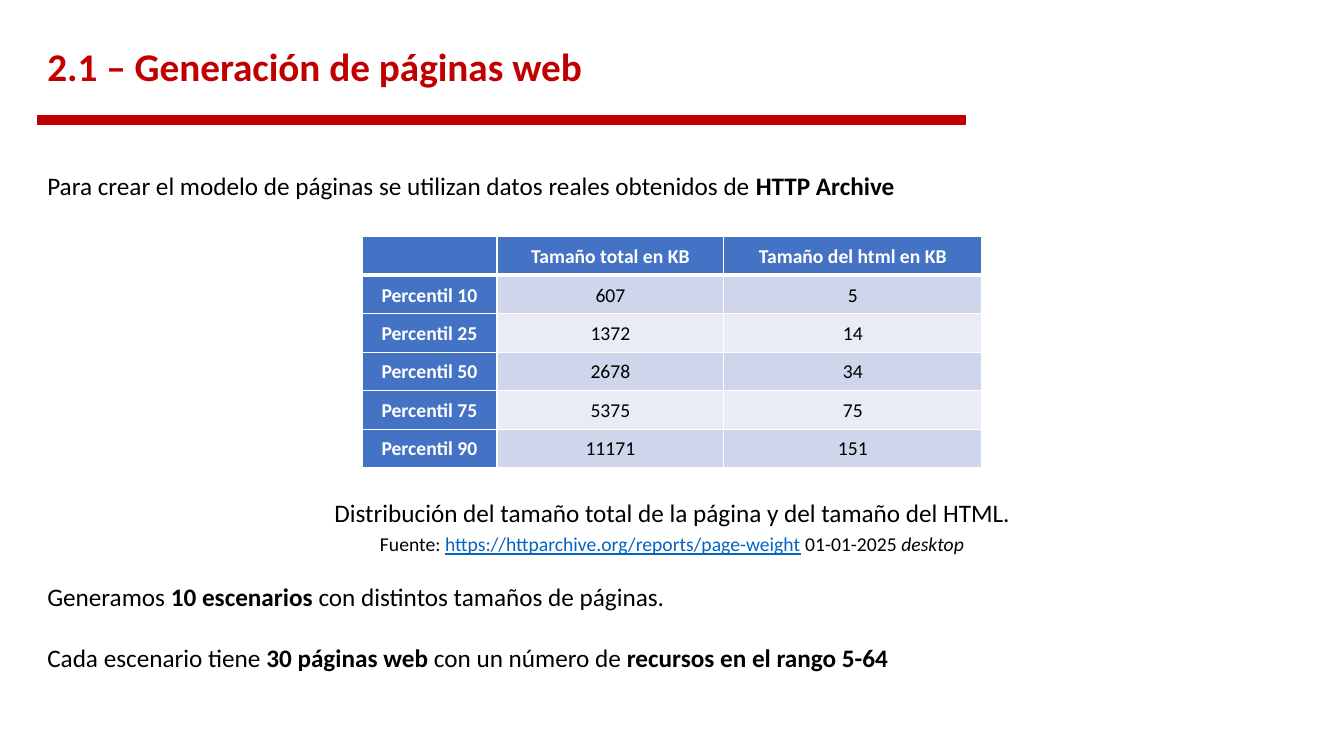
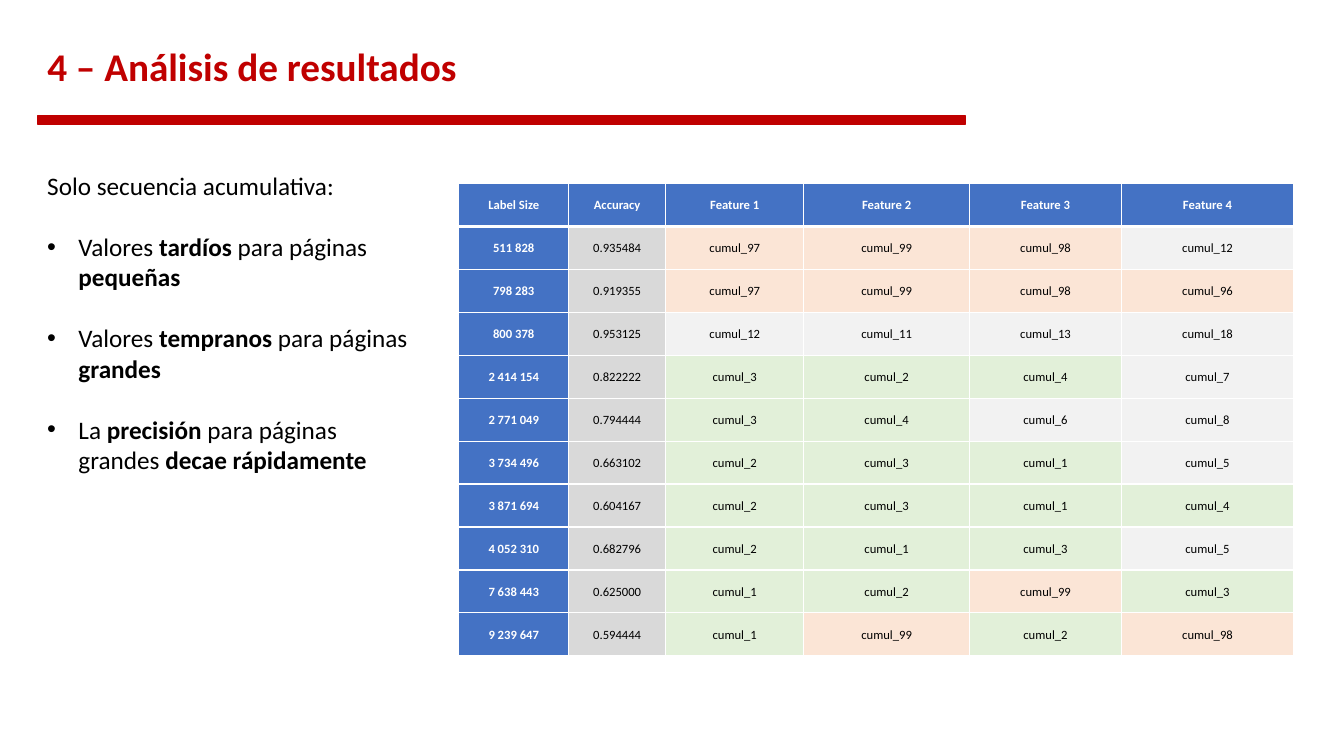
from dataclasses import dataclass

from lxml.etree import SubElement
from pptx import Presentation
from pptx.dml.color import RGBColor
from pptx.enum.shapes import MSO_SHAPE as Shape
from pptx.enum.text import MSO_ANCHOR as Anchor, MSO_AUTO_SIZE as AutoSize, PP_ALIGN as Align
from pptx.oxml.ns import qn
from pptx.util import Inches, Pt


@dataclass(frozen=True)
class Theme:
    font: str = "Calibri"
    red: str = "C00000"
    blue: str = "4472C4"
    link: str = "0563C1"
    black: str = "000000"
    white: str = "FFFFFF"
    band_dark: str = "CFD5EA"
    band_light: str = "E9EBF5"
    accuracy: str = "D9D9D9"
    early: str = "E2F0D9"
    middle: str = "F2F2F2"
    late: str = "FBE5D6"
    title_size: int = 28
    body_size: int = 18
    small_size: int = 14
    dense_size: int = 9
    gap: int = 22
    indent: float = 0.31


THEME = Theme()
WIDTH, HEIGHT = Inches(13.33), Inches(7.5)
BOLD = {"bold": True}
ITALIC = {"italic": True}
LINK = {"underline": True, "color": THEME.link}

# Boxes: left, top, width, height in hundredths of the slide
LEFT = 2.78
TITLE_BOX = (LEFT, 5.07, 69.9, 8.13)
BAR_BOX = (LEFT, 15.33, 69.08, 1.07)
INTRO_BOX = (LEFT, 21.87, 69.08, 5.33)
SIZES_BOX = (26.93, 31.33, 46.13, 30.53)
CAPTION_BOX = (11.78, 65.07, 76.5, 9.47)
SOURCE_BOX = (17.93, 69.73, 64.13, 4.53)
CLOSING_BOX = (LEFT, 76.27, 69.08, 13.47)
FINDINGS_BOX = (LEFT, 21.87, 29.4, 41.73)
FEATURES_BOX = (34.13, 24.27, 62.1, 62.53)

SIZES = [
    ["", "Tamaño total en KB", "Tamaño del html en KB"],
    ["Percentil 10", "607", "5"],
    ["Percentil 25", "1372", "14"],
    ["Percentil 50", "2678", "34"],
    ["Percentil 75", "5375", "75"],
    ["Percentil 90", "11171", "151"],
]

# Label size, accuracy and the indices of the four leading features
RESULTS = [
    ("511 828", "0.935484", (97, 99, 98, 12)),
    ("798 283", "0.919355", (97, 99, 98, 96)),
    ("800 378", "0.953125", (12, 11, 13, 18)),
    ("2 414 154", "0.822222", (3, 2, 4, 7)),
    ("2 771 049", "0.794444", (3, 4, 6, 8)),
    ("3 734 496", "0.663102", (2, 3, 1, 5)),
    ("3 871 694", "0.604167", (2, 3, 1, 4)),
    ("4 052 310", "0.682796", (2, 1, 3, 5)),
    ("7 638 443", "0.625000", (1, 2, 99, 3)),
    ("9 239 647", "0.594444", (1, 99, 2, 98)),
]


def place(box):
    """Turn hundredths of the slide into lengths."""
    return [round(share * side / 100) for share, side in zip(box, (WIDTH, HEIGHT) * 2)]


def set_attributes(target, values):
    for name, value in values.items():
        setattr(target, name, value)


def write(paragraph, runs, size, color=THEME.black, **formats):
    """Fill a paragraph with runs: plain strings or (text, formats) pairs."""
    for run_source in runs:
        text, own = (run_source, {}) if isinstance(run_source, str) else run_source
        values = {"name": THEME.font, "size": Pt(size), **formats, **own}
        run = paragraph.add_run()
        run.text = text
        run.font.color.rgb = RGBColor.from_string(values.pop("color", color))
        set_attributes(run.font, values)


def add_bullet(paragraph):
    properties = paragraph._p.get_or_add_pPr()
    indent = Inches(THEME.indent)
    properties.set("marL", str(indent))
    properties.set("indent", str(-indent))
    SubElement(properties, qn("a:buFont"), typeface="Arial")
    SubElement(properties, qn("a:buChar"), char="•")


def add_text(slide, box, paragraphs, size=THEME.body_size, align=Align.LEFT, bulleted=False):
    """Text box whose paragraphs after the first stand one line apart."""
    frame = slide.shapes.add_textbox(*place(box)).text_frame
    set_attributes(frame, {"word_wrap": True, "auto_size": AutoSize.SHAPE_TO_FIT_TEXT})
    for index, runs in enumerate(paragraphs):
        paragraph = frame.add_paragraph() if index else frame.paragraphs[0]
        paragraph.alignment = align
        if index:
            paragraph.space_before = Pt(THEME.gap)
            if bulleted:
                add_bullet(paragraph)
        write(paragraph, runs, size)


def add_header(slide, title):
    """Title and red bar shared by the slides."""
    frame = slide.shapes.add_textbox(*place(TITLE_BOX)).text_frame
    set_attributes(frame, {"word_wrap": True, "vertical_anchor": Anchor.MIDDLE})
    frame.paragraphs[0].line_spacing = 0.9
    write(frame.paragraphs[0], [title], THEME.title_size, THEME.red, bold=True)

    bar = slide.shapes.add_shape(Shape.RECTANGLE, *place(BAR_BOX))
    bar.shadow.inherit = False
    bar.fill.solid()
    bar.fill.fore_color.rgb = bar.line.color.rgb = RGBColor.from_string(THEME.red)
    bar.line.width = Pt(1)


def add_borders(cell, row):
    """White rules, with a thicker one under the heading row."""
    properties = cell._tc.get_or_add_tcPr()
    widths = {"L": 1, "R": 1, "T": 3 if row == 1 else 1, "B": 3 if row == 0 else 1}
    for side, width in widths.items():
        line = SubElement(properties, qn(f"a:ln{side}"), w=str(Pt(width)))
        fill = SubElement(line, qn("a:solidFill"))
        SubElement(fill, qn("a:srgbClr"), val=THEME.white)


def add_data_table(slide, box, rows, column_weights, size, body_fill):
    """Table with blue headings; body_fill(row, column, text) colours the rest."""
    left, top, width, height = place(box)
    table = slide.shapes.add_table(len(rows), len(rows[0]), left, top, width, height).table
    for column, weight in zip(table.columns, column_weights):
        column.width = round(width * weight / sum(column_weights))
    for row, texts in enumerate(rows):
        table.rows[row].height = round(height / len(rows))
        for column, text in enumerate(texts):
            cell = table.cell(row, column)
            heading = row == 0 or column == 0
            set_attributes(cell, {
                "margin_left": Inches(0.07), "margin_right": Inches(0.07),
                "margin_top": 0, "margin_bottom": 0, "vertical_anchor": Anchor.MIDDLE,
            })
            add_borders(cell, row)
            cell.fill.solid()
            color = THEME.blue if heading else body_fill(row, column, text)
            cell.fill.fore_color.rgb = RGBColor.from_string(color)
            paragraph = cell.text_frame.paragraphs[0]
            set_attributes(paragraph, {
                "alignment": Align.CENTER, "line_spacing": 1.07, "space_after": Pt(8),
            })
            if text:
                write(paragraph, [text], size, THEME.white if heading else THEME.black,
                      bold=heading)


def band_fill(row, column, text):
    return THEME.band_dark if row % 2 else THEME.band_light


def feature_fill(row, column, text):
    """Colour a feature by its place in the cumulative sequence."""
    if column == 1:
        return THEME.accuracy
    position = int(text.split("_")[1])
    if position < 5:
        return THEME.early
    return THEME.late if position > 95 else THEME.middle


def build_pages_slide(slide):
    add_header(slide, "2.1 – Generación de páginas web")
    add_text(slide, INTRO_BOX, [[
        "Para crear el modelo de páginas se utilizan datos reales obtenidos de ",
        ("HTTP Archive", BOLD),
    ]])
    # Size distribution with caption and source
    add_data_table(slide, SIZES_BOX, SIZES, (1.34, 2.25, 2.56), THEME.small_size, band_fill)
    add_text(slide, CAPTION_BOX, [
        ["Distribución del tamaño total de la página y del tamaño del HTML."],
    ], align=Align.CENTER)
    add_text(slide, SOURCE_BOX, [[
        "Fuente: ", ("https://httparchive.org/reports/page-weight", LINK),
        " 01-01-2025 ", ("desktop", ITALIC),
    ]], THEME.small_size, Align.CENTER)
    # Scenarios
    add_text(slide, CLOSING_BOX, [
        ["Generamos ", ("10 escenarios ", BOLD), "con distintos tamaños de páginas."],
        ["Cada escenario tiene ", ("30 páginas web ", BOLD), "con un número de ",
         ("recursos en el rango 5-64", BOLD)],
    ])


def build_results_slide(slide):
    add_header(slide, "4 – Análisis de resultados")
    # Feature ranking
    headings = ["Label Size", "Accuracy"] + [f"Feature {rank}" for rank in range(1, 5)]
    rows = [headings] + [
        [label, accuracy] + [f"cumul_{position}" for position in positions]
        for label, accuracy, positions in RESULTS
    ]
    add_data_table(slide, FEATURES_BOX, rows, (1.09, 0.96, 1.37, 1.64, 1.51, 1.7),
                   THEME.dense_size, feature_fill)
    # Findings
    add_text(slide, FINDINGS_BOX, [
        ["Solo secuencia acumulativa:"],
        ["Valores ", ("tardíos", BOLD), " para páginas ", ("pequeñas", BOLD)],
        ["Valores ", ("tempranos", BOLD), " para páginas ", ("grandes", BOLD)],
        ["La ", ("precisión", BOLD), " para páginas grandes ", ("decae rápidamente", BOLD)],
    ], bulleted=True)


def main():
    presentation = Presentation()
    set_attributes(presentation, {"slide_width": WIDTH, "slide_height": HEIGHT})
    blank = presentation.slide_layouts[6]
    for build in (build_pages_slide, build_results_slide):
        build(presentation.slides.add_slide(blank))
    presentation.save("out.pptx")


if __name__ == "__main__":
    main()
